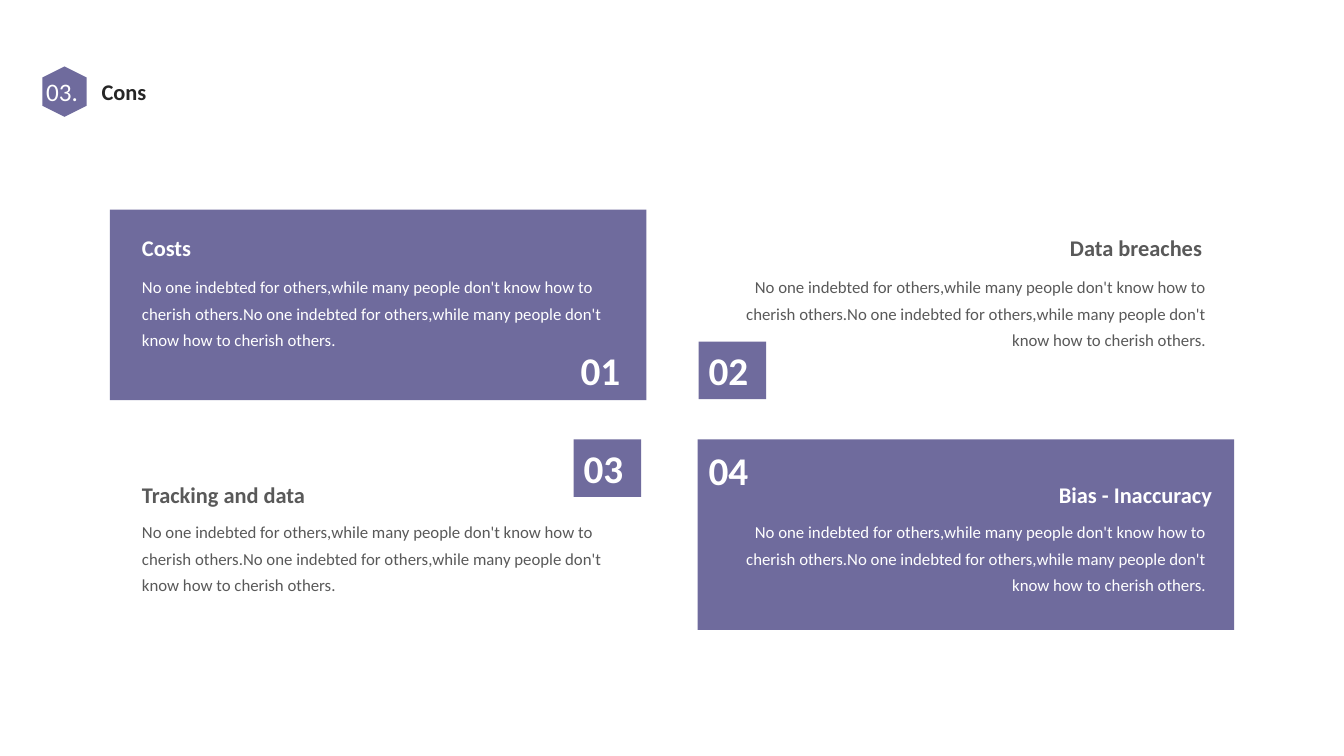
import pptx
import pptx.dml.color
import pptx.enum.shapes
import pptx.enum.text
import pptx.util
from pptx.util import Inches

COLORS = {"purple": "6F6B9D", "white": "FFFFFF", "dark": "262626", "gray": "595959"}
FONT = "Calibri"
BODY = ("No one indebted for others,while many people don't know how to cherish others."
        "No one indebted for others,while many people don't know how to cherish others.")
SHAPES = pptx.enum.shapes.MSO_SHAPE
ALIGN = pptx.enum.text.PP_ALIGN

NUMBER_SIZE = (0.67, 0.57)
PANEL_SIZE = (5.32, 1.89)

# Each card: number, number place, title, title left and width, row, right side, panel place
CARDS = [
    ("01", (5.66, 3.39), "Costs", (1.31, 0.88), 0, False, (1.09, 2.08)),
    ("02", (6.93, 3.39), "Data breaches", (10.24, 1.78), 0, True, None),
    ("03", (5.69, 4.36), "Tracking and data", (1.31, 2.19), 1, False, None),
    ("04", (6.93, 4.38), "Bias - Inaccuracy", (10.06, 2.06), 1, True, (6.92, 4.36)),
]
# Title top and body top of each row
ROWS = [(2.27, 2.64), (4.72, 5.07)]


def rgb(name):
    return pptx.dml.color.RGBColor.from_string(COLORS[name])


def add_block(slide, kind, left, top, width, height, rotation=0):
    shape = slide.shapes.add_shape(
        kind, Inches(left), Inches(top), Inches(width), Inches(height))
    shape.shadow.inherit = False
    shape.fill.solid()
    shape.fill.fore_color.rgb = rgb("purple")
    shape.line.fill.background()
    shape.rotation = rotation
    return shape


def add_text(slide, text, left, top, width, height, size=16, color="white",
             bold=False, align=ALIGN.LEFT, wrap=False, spacing=None):
    box = slide.shapes.add_textbox(
        Inches(left), Inches(top), Inches(width), Inches(height))
    frame = box.text_frame
    frame.word_wrap = wrap
    frame.auto_size = pptx.enum.text.MSO_AUTO_SIZE.SHAPE_TO_FIT_TEXT
    paragraph = frame.paragraphs[0]
    paragraph.alignment = align
    if spacing:
        paragraph.line_spacing = spacing
    run = paragraph.add_run()
    run.text = text
    run.font.name = FONT
    run.font.size = pptx.util.Pt(size)
    run.font.bold = bold
    run.font.color.rgb = rgb(color)


def add_header(slide):
    add_block(slide, SHAPES.HEXAGON, 0.39, 0.69, 0.5, 0.44, rotation=90)
    add_text(slide, "03.", 0.36, 0.71, 0.55, 0.4, size=18)
    add_text(slide, "Cons", 0.91, 0.73, 0.75, 0.37, color="dark", bold=True)


def add_card(slide, number, number_place, title, title_span, row, on_right, panel_place):
    # A card has either a full panel or a small block behind its number
    if panel_place:
        add_block(slide, SHAPES.RECTANGLE, *panel_place, *PANEL_SIZE)
    else:
        add_block(slide, SHAPES.RECTANGLE, *number_place, *NUMBER_SIZE)
    add_text(slide, number, *number_place, *NUMBER_SIZE, size=28, bold=True)

    color = "white" if panel_place else "gray"
    align = ALIGN.RIGHT if on_right else ALIGN.LEFT
    title_top, body_top = ROWS[row]
    title_left, title_width = title_span
    add_text(slide, title, title_left, title_top, title_width, 0.37,
             color=color, bold=True, align=align)
    body_left, body_width = (7.05, 5.01) if on_right else (1.31, 4.98)
    add_text(slide, BODY, body_left, body_top, body_width, 0.89, size=12,
             color=color, align=align, wrap=True, spacing=1.3)


def main():
    presentation = pptx.Presentation()
    presentation.slide_width = Inches(13.33)
    presentation.slide_height = Inches(7.5)
    slide = presentation.slides.add_slide(presentation.slide_layouts[6])
    add_header(slide)
    for card in CARDS:
        add_card(slide, *card)
    presentation.save("out.pptx")


if __name__ == "__main__":
    main()
